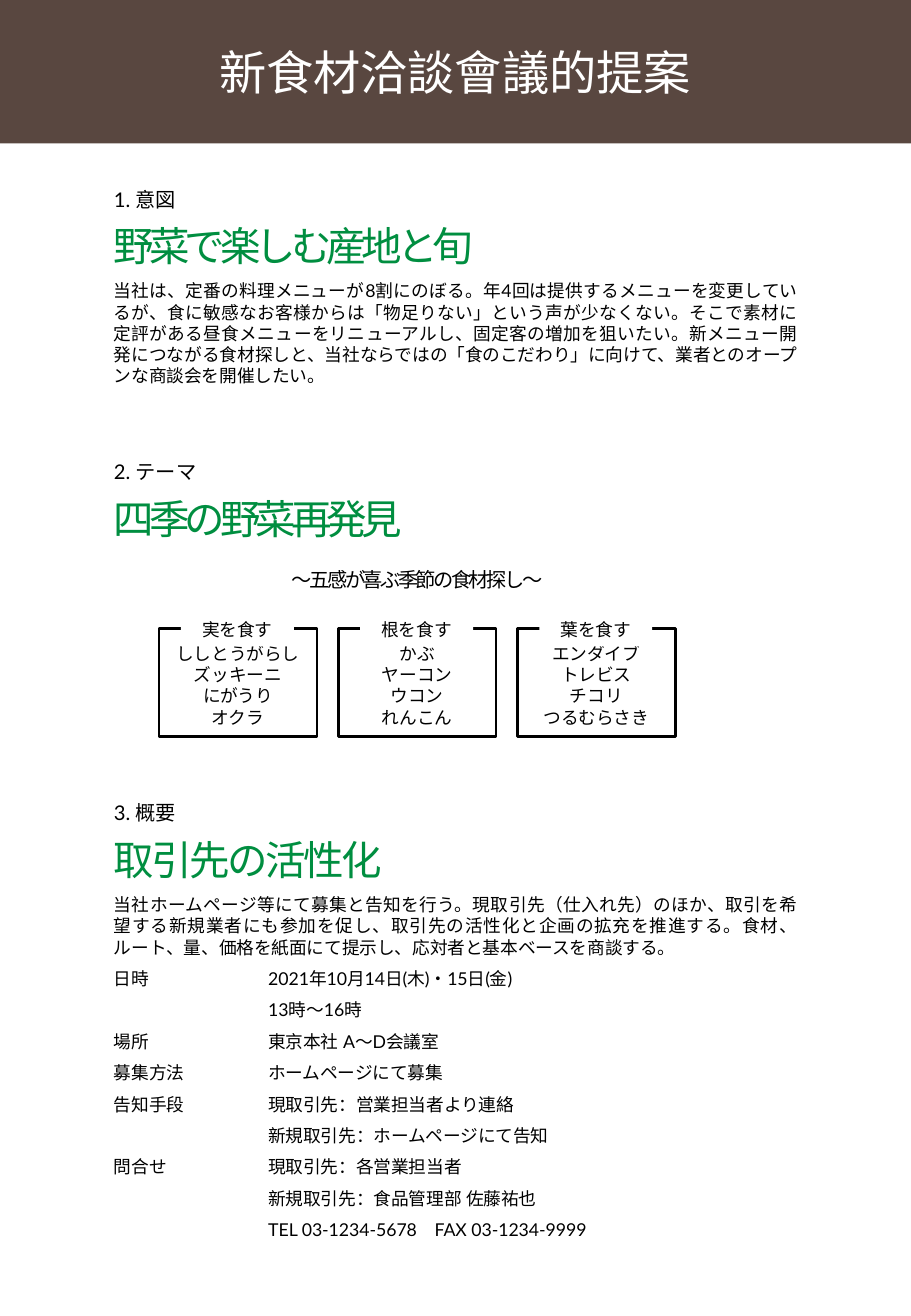
"""Build a one-page proposal for a meeting on new food ingredients."""
from lxml import etree
from pptx import Presentation
from pptx.dml.color import RGBColor
from pptx.enum import shapes, text
from pptx.oxml import ns
from pptx.util import Inches, Pt

COLOURS = {"brown": "594740", "green": "008E40", "black": "000000", "white": "FFFFFF"}
LATO, NOTO = "Lato", "Noto Sans CJK JP"
LEFT, CENTER, JUSTIFY = text.PP_ALIGN.LEFT, text.PP_ALIGN.CENTER, text.PP_ALIGN.JUSTIFY
RECTANGLE = shapes.MSO_SHAPE.RECTANGLE
NUMBER = (12, LATO, "black", 0)
BODY = (10.5, LATO, "black", 0)
LABEL = (10.5, NOTO, "black", 0)


def colour(name):
    return RGBColor.from_string(COLOURS[name])


def write(box, lines, after=0, wrap=True, anchor=text.MSO_ANCHOR.TOP):
    frame = box.text_frame
    frame.word_wrap = wrap
    frame.auto_size = text.MSO_AUTO_SIZE.SHAPE_TO_FIT_TEXT
    frame.vertical_anchor = anchor
    for index, (words, align, (size, font, ink, spacing)) in enumerate(lines):
        para = frame.paragraphs[0] if index == 0 else frame.add_paragraph()
        para.alignment = align
        para.space_after = Pt(after)
        if "\t" in words:
            tabs = etree.SubElement(para._p.get_or_add_pPr(), ns.qn("a:tabLst"))
            etree.SubElement(tabs, ns.qn("a:tab"), pos=str(Inches(1.27)), algn="l")
        span = para.add_run()
        span.text = words
        span.font.size = Pt(size)
        span.font.name = font
        span.font.color.rgb = colour(ink)
        properties = span._r.get_or_add_rPr()
        properties.set("spc", str(int(spacing * 100)))
        etree.SubElement(properties, ns.qn("a:ea"), typeface=LATO)


deck = Presentation()
deck.slide_width, deck.slide_height = Inches(7.5), Inches(10.83)
page = deck.slides.add_slide(deck.slide_layouts[5])

title = page.shapes.title
title.left, title.top = Inches(1.61), Inches(0.31)
title.width, title.height = Inches(4.27), Inches(0.57)
write(title, [("新食材洽談會議的提案", CENTER, (28, NOTO, "white", 0))], wrap=False)

band = page.shapes.add_shape(RECTANGLE, 0, 0, deck.slide_width, Inches(1.18))
band.shadow.inherit = False
band.fill.solid()
band.fill.fore_color.rgb = colour("brown")
band.line.fill.background()
title.element.addprevious(band.element)

intent = "当社は、定番の料理メニューが8割にのぼる。年4回は提供するメニューを変更しているが、食に敏感なお客様からは「物足りない」という声が少なくない。そこで素材に定評がある昼食メニューをリニューアルし、固定客の増加を狙いたい。新メニュー開発につながる食材探しと、当社ならではの「食のこだわり」に向けて、業者とのオープンな商談会を開催したい。"
outline = [
    "当社ホームページ等にて募集と告知を行う。現取引先（仕入れ先）のほか、取引を希望する新規業者にも参加を促し、取引先の活性化と企画の拡充を推進する。食材、ルート、量、価格を紙面にて提示し、応対者と基本ベースを商談する。",
    "日時\t2021年10月14日(木)・15日(金)",
    "\t13時～16時",
    "場所\t東京本社 A～D会議室",
    "募集方法\tホームページにて募集",
    "告知手段\t現取引先：営業担当者より連絡",
    "\t新規取引先：ホームページにて告知",
    "問合せ\t現取引先：各営業担当者",
    "\t新規取引先：食品管理部 佐藤祐也",
    "\tTEL 03-1234-5678　FAX 03-1234-9999",
]
sections = [
    (1.49, 5.83, 1.76, "1. 意図", JUSTIFY, "野菜で楽しむ産地と旬", -3, [intent], text.MSO_ANCHOR.TOP),
    (3.73, 5.04, 0.79, "2. テーマ", LEFT, "四季の野菜再発見", -3, [], text.MSO_ANCHOR.MIDDLE),
    (6.54, 5.83, 3.75, "3. 概要", JUSTIFY, "取引先の活性化", -1.5, outline, text.MSO_ANCHOR.TOP),
]
for top, width, height, number, align, heading, spacing, body, anchor in sections:
    section = page.shapes.add_textbox(Inches(0.84), Inches(top), Inches(width), Inches(height))
    lines = [(number, align, NUMBER), (heading, JUSTIFY, (24, NOTO, "green", spacing))]
    lines += [(words, JUSTIFY, BODY) for words in body]
    write(section, lines, after=6, anchor=anchor)

vegetables = {
    "実を食す": ["ししとうがらし", "ズッキーニ", "にがうり", "オクラ"],
    "根を食す": ["かぶ", "ヤーコン", "ウコン", "れんこん"],
    "葉を食す": ["エンダイブ", "トレビス", "チコリ", "つるむらさき"],
}
for column, (part, names) in enumerate(vegetables.items()):
    left = 1.31 + 1.475 * column
    border = page.shapes.add_shape(RECTANGLE, Inches(left), Inches(5.17), Inches(1.3), Inches(0.89))
    border.shadow.inherit = False
    border.fill.background()
    border.line.color.rgb = colour("black")
    border.line.width = Pt(1.5)

    listing = page.shapes.add_textbox(Inches(left), Inches(5.24), Inches(1.3), Inches(0.81))
    write(listing, [(name, CENTER, BODY) for name in names])

    label = page.shapes.add_textbox(Inches(left + 0.18), Inches(5.04), Inches(0.93), Inches(0.28))
    label.fill.solid()
    label.fill.fore_color.rgb = colour("white")
    write(label, [(part, CENTER, LABEL)])

subtitle = page.shapes.add_textbox(Inches(1.56), Inches(4.62), Inches(3.75), Inches(0.3))
write(subtitle, [("～五感が喜ぶ季節の食材探し～", CENTER, (12, NOTO, "black", -1.5))], after=6)

deck.save("out.pptx")
